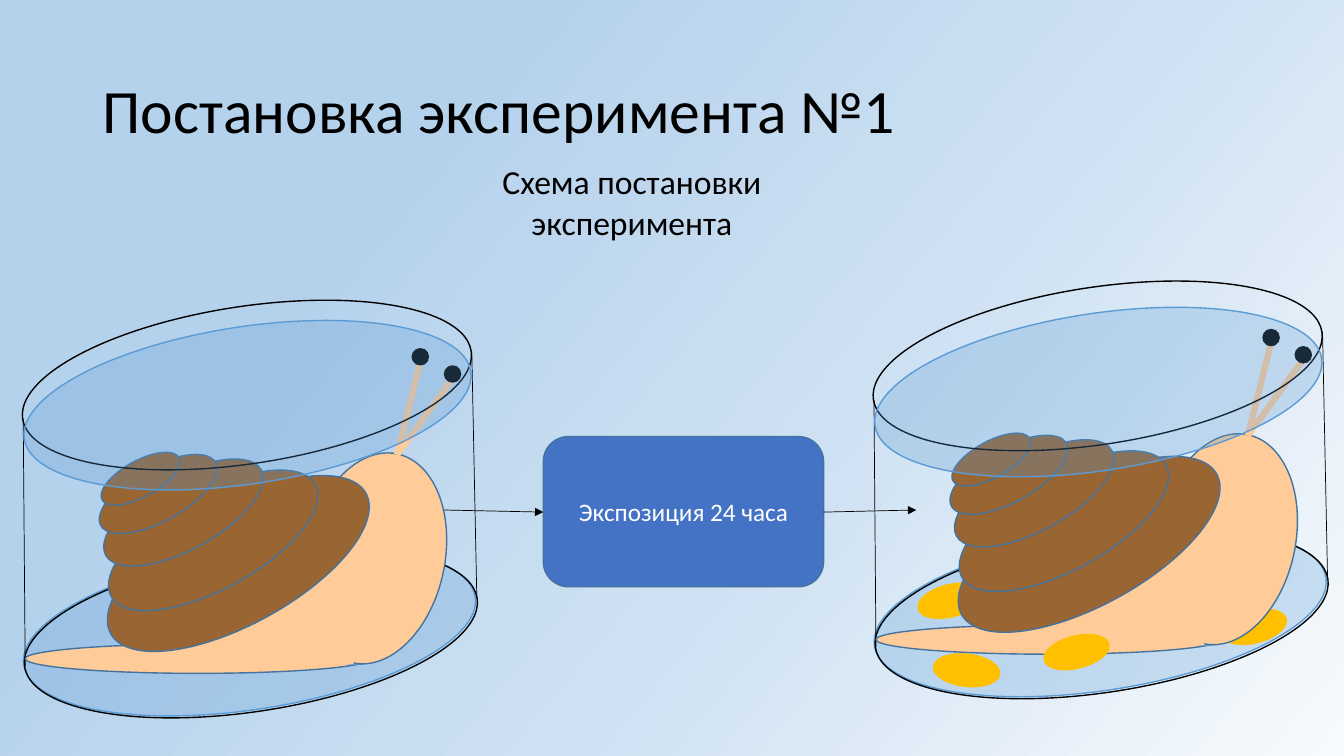
from typing import NamedTuple, Optional

from lxml.etree import SubElement
from pptx import Presentation
from pptx.dml.color import RGBColor
from pptx.enum.shapes import MSO_CONNECTOR, MSO_SHAPE
from pptx.enum.text import MSO_ANCHOR, MSO_AUTO_SIZE, PP_ALIGN
from pptx.oxml.ns import qn
from pptx.util import Pt

BLACK, BLUE, EDGE = "000000", "5B9BD5", "43739E"
SKIN, SHELL, YOLK = "FFCC99", "996633", "FFC000"
TILT, LEAN = -8.6, -28.8


class Form(NamedTuple):
    left: float
    top: float
    width: float
    height: float
    fill: Optional[str] = None
    line: Optional[str] = None
    turn: float = 0
    alpha: int = 100
    kind: MSO_SHAPE = MSO_SHAPE.OVAL


class Stroke(NamedTuple):
    x1: float
    y1: float
    x2: float
    y2: float
    hue: str = BLACK
    width: float = 0.5
    arrow: bool = False


class Jar(NamedTuple):
    dx: float
    dy: float
    drop: float
    back: tuple = ()
    front: tuple = ()


def egg(left: float, top: float, turn: float = -14.2) -> Form:
    return Form(left, top, 47.5, 23, YOLK, YOLK, turn)


FLOOR = Form(15.1, 394.6, 326.2, 112.3, BLUE, BLUE, TILT, 27)
WATER = Form(15.5, 233.3, 322.6, 112.3, BLUE, BLUE, TILT, 27)
BASE = Form(15.8, 395.3, 326.9, 113, None, BLACK, TILT)
LID = Form(14.4, 218.9, 324, 112.3, None, BLACK, TILT)
WALLS = (Stroke(16.6, 299.5, 18, 475.9), Stroke(337, 250.6, 340.6, 427))
SNAIL = (
    Form(18, 460.1, 247, 20.9, SKIN, EDGE),
    Form(209.5, 385.2, 89.3, 89.3, SKIN, BLUE),
    Form(218.2, 322.6, 99.4, 152.6, SKIN, EDGE, 12),
    Form(98.6, 399.6, 154.1, 74.9, SKIN, kind=MSO_SHAPE.RECTANGLE),
    Form(66.2, 359.3, 208.1, 86.4, SHELL, EDGE, LEAN),
    Form(69.1, 351.4, 166.3, 69.1, SHELL, EDGE, LEAN),
    Form(67.7, 339.8, 126.7, 52.6, SHELL, EDGE, LEAN),
    Form(66.2, 333.4, 93.6, 38.9, SHELL, EDGE, LEAN),
    Form(69.1, 329, 62.6, 25.9, SHELL, EDGE, LEAN),
    Stroke(283.7, 324.7, 300.2, 258.5, SKIN, 4.5),
    Stroke(283.7, 324.7, 324.7, 268.6, SKIN, 4.5),
    Form(294.5, 249.1, 11.5, 11.5, BLACK, BLACK),
    Form(317.5, 261.4, 11.5, 11.5, BLACK, BLACK),
)
JARS = (
    Jar(0, 0, 0),
    Jar(607.7, -13.7, 4.3,
        (egg(264.2, 450), egg(47.5, 431.3)),
        (egg(59, 481, 6.5), egg(137.5, 468))),
)
ARROWS = (
    Stroke(316.8, 364.3, 388.1, 365.8, arrow=True),
    Stroke(588.2, 365.8, 654.5, 364.3, arrow=True),
)
STOPS = ((4, "B5D2EC"), (27, "B5D2EC"), (60, "CEE1F2"), (100, "F7FAFD"))


def tint(code: str) -> RGBColor:
    return RGBColor.from_string(code)


def place(shape, left: float, top: float, width: float, height: float) -> None:
    shape.left, shape.top = Pt(left), Pt(top)
    shape.width, shape.height = Pt(width), Pt(height)


def draw_form(slide, form: Form, dx: float = 0, dy: float = 0):
    shape = slide.shapes.add_shape(
        form.kind, Pt(form.left + dx), Pt(form.top + dy), Pt(form.width), Pt(form.height))
    shape.shadow.inherit = False
    shape.rotation = form.turn
    if form.fill:
        shape.fill.solid()
        shape.fill.fore_color.rgb = tint(form.fill)
    else:
        shape.fill.background()
    if form.line:
        shape.line.color.rgb = tint(form.line)
        shape.line.width = Pt(1)
    else:
        shape.line.fill.background()
    if form.alpha < 100:
        hue = shape._element.spPr.find(qn("a:solidFill")).find(qn("a:srgbClr"))
        SubElement(hue, qn("a:alpha"), val=str(form.alpha * 1000))
    return shape


def draw_line(slide, mark: Stroke, dx: float = 0, dy: float = 0) -> None:
    line = slide.shapes.add_connector(
        MSO_CONNECTOR.STRAIGHT, Pt(mark.x1 + dx), Pt(mark.y1 + dy),
        Pt(mark.x2 + dx), Pt(mark.y2 + dy))
    line.line.color.rgb = tint(mark.hue)
    line.line.width = Pt(mark.width)
    if mark.arrow:
        SubElement(line.line._get_or_add_ln(), qn("a:tailEnd"), type="triangle")
    SubElement(line._element.spPr, qn("a:effectLst"))


def draw_jar(slide, jar: Jar) -> None:
    parts = (FLOOR, BASE, *WALLS, *jar.back, *SNAIL, LID, *jar.front)
    for part in parts:
        draw = draw_line if isinstance(part, Stroke) else draw_form
        draw(slide, part, jar.dx, jar.dy)
    draw_form(slide, WATER, jar.dx, jar.dy + jar.drop)


def write(shape, text: str, size: float, hue: str, align: PP_ALIGN,
          anchor: MSO_ANCHOR = MSO_ANCHOR.MIDDLE) -> None:
    frame = shape.text_frame
    frame.text = text
    frame.word_wrap = True
    frame.vertical_anchor = anchor
    para = frame.paragraphs[0]
    para.alignment = align
    font = para.runs[0].font
    font.name, font.size = "Calibri", Pt(size)
    font.color.rgb = tint(hue)


def paint_back(slide) -> None:
    fill = slide.background.fill
    fill.gradient()
    fill.gradient_angle = 320
    stops = slide._element.find(".//" + qn("a:gsLst"))
    for old in list(stops):
        stops.remove(old)
    for spot, code in STOPS:
        stop = SubElement(stops, qn("a:gs"), pos=str(spot * 1000))
        SubElement(stop, qn("a:srgbClr"), val=code)


def main() -> None:
    deck = Presentation()
    deck.slide_width, deck.slide_height = Pt(960), Pt(540)
    slide = deck.slides.add_slide(deck.slide_layouts[5])
    paint_back(slide)

    title = slide.shapes.title
    place(title, 66.2, 28.8, 828, 104.4)
    write(title, "Постановка эксперимента №1", 44, BLACK, PP_ALIGN.LEFT)
    title.text_frame.paragraphs[0].line_spacing = 0.9

    note = slide.shapes.add_textbox(Pt(300.2), Pt(111.6), Pt(302.4), Pt(65.5))
    write(note, "Схема постановки эксперимента", 24, BLACK, PP_ALIGN.CENTER, MSO_ANCHOR.TOP)
    note.text_frame.auto_size = MSO_AUTO_SIZE.SHAPE_TO_FIT_TEXT

    step = draw_form(slide, Form(388.1, 311.8, 200.2, 107.3, "4472C4", EDGE,
                                 kind=MSO_SHAPE.ROUNDED_RECTANGLE))
    write(step, "Экспозиция 24 часа", 18, "FFFFFF", PP_ALIGN.CENTER)

    for arrow in ARROWS:
        draw_line(slide, arrow)
    for jar in JARS:
        draw_jar(slide, jar)
    deck.save("out.pptx")


if __name__ == "__main__":
    main()
